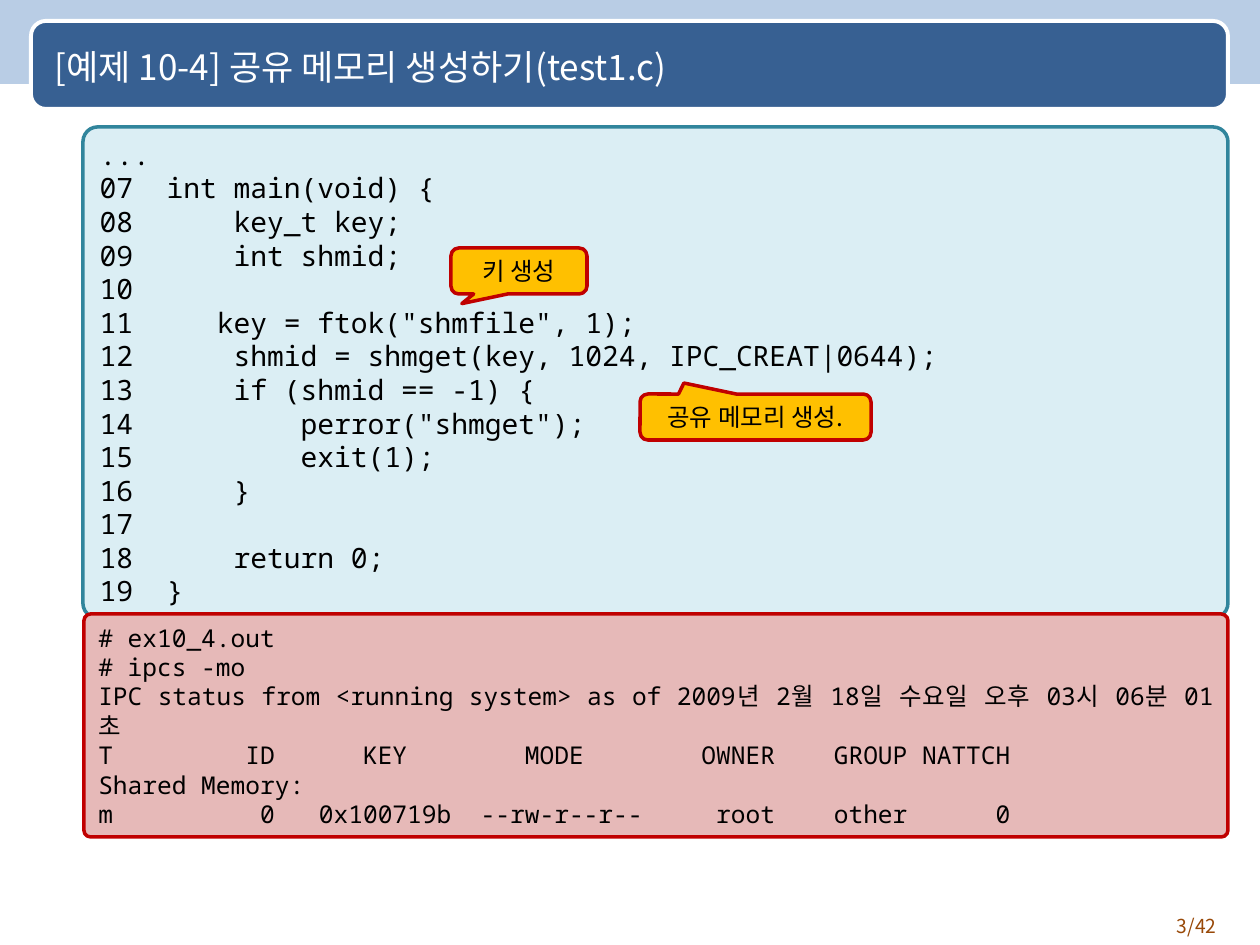
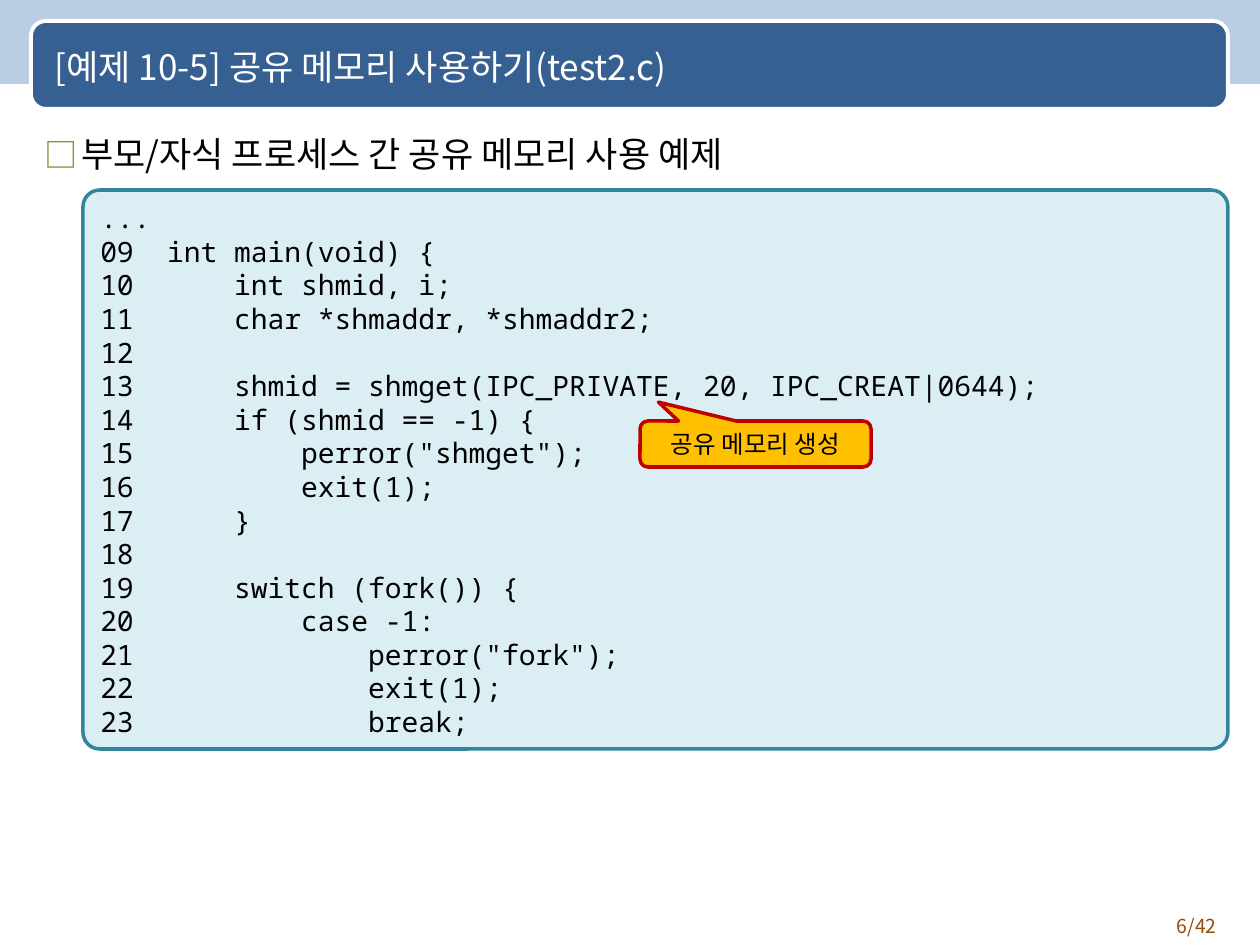
from lxml import etree
from pptx import Presentation
from pptx import util as u
from pptx.dml.color import RGBColor
from pptx.enum import shapes, text
from pptx.oxml.ns import qn

PX_PER_INCH = 126
SANS = "Noto Sans CJK KR"
MONO = "Noto Sans Mono"
WHITE = "FFFFFF"
BLACK = "000000"
BAND = "B9CDE5"
TITLE_BAR = "376092"
PAGE_NUMBER = "984807"
CODE_FILL, CODE_LINE = "DBEEF4", "31859C"
OUTPUT_FILL = "E6B9B8"
CALLOUT_FILL = "FFC000"
ACCENT_LINE = "C00000"
BULLET = "888128"
AUTO_SHAPE = shapes.MSO_SHAPE
ALIGN = text.PP_ALIGN

SHMGET_CODE = """...
07  int main(void) {
08      key_t key;
09      int shmid;
10
     key = ftok("shmfile", 1);
12      shmid = shmget(key, 1024, IPC_CREAT|0644);
13      if (shmid == -1) {
14          perror("shmget");
15          exit(1);
16      }
17
18      return 0;
19  }"""

IPCS_OUTPUT = """# ex10_4.out
# ipcs -mo
IPC status from <running system> as of 2009년 2월 18일 수요일 오후 03시 06분 01초
T         ID      KEY        MODE        OWNER    GROUP NATTCH
Shared Memory:
m          0   0x100719b  --rw-r--r--     root    other      0"""

FORK_CODE = """...
09  int main(void) {
10      int shmid, i;
11      char *shmaddr, *shmaddr2;
12
13      shmid = shmget(IPC_PRIVATE, 20, IPC_CREAT|0644);
14      if (shmid == -1) {
15          perror("shmget");
16          exit(1);
17      }
18
19      switch (fork()) {
20          case -1:
21              perror("fork");
22              exit(1);
23              break;"""


def px(value):
    return u.Emu(round(value * 914400 / PX_PER_INCH))


def color(hex_string):
    return RGBColor.from_string(hex_string)


def write(text_frame, content, size, font_name, font_color, alignment):
    text_frame.word_wrap = True
    text_frame.text = content
    for paragraph in text_frame.paragraphs:
        paragraph.alignment = alignment
        for run in paragraph.runs:
            run.font.size = u.Pt(size)
            run.font.color.rgb = color(font_color)
            run.font.name = font_name
            properties = run.font._element
            for tag in ("a:ea", "a:cs"):
                etree.SubElement(properties, qn(tag), typeface=font_name)


def add_box(slide, kind, box, fill, line=None, line_width=2, adjustments=()):
    shape = slide.shapes.add_shape(kind, *map(px, box))
    shape.shadow.inherit = False
    shape.fill.solid()
    shape.fill.fore_color.rgb = color(fill)
    if line:
        shape.line.color.rgb = color(line)
        shape.line.width = u.Pt(line_width)
    else:
        shape.line.fill.background()
    for index, value in enumerate(adjustments):
        shape.adjustments[index] = value
    return shape


def add_text_panel(slide, box, content, size, fill, line):
    panel = add_box(slide, AUTO_SHAPE.ROUNDED_RECTANGLE, box, fill, line, adjustments=[0.03])
    write(panel.text_frame, content, size, MONO, BLACK, ALIGN.JUSTIFY)
    panel.text_frame.vertical_anchor = text.MSO_ANCHOR.MIDDLE
    panel.text_frame.auto_size = text.MSO_AUTO_SIZE.SHAPE_TO_FIT_TEXT
    return panel


def add_code(slide, top, height, content):
    return add_text_panel(slide, (83, top, 1145, height), content, 16, CODE_FILL, CODE_LINE)


def add_callout(slide, box, content, pointer):
    callout = add_box(slide, AUTO_SHAPE.ROUNDED_RECTANGULAR_CALLOUT, box,
                      CALLOUT_FILL, ACCENT_LINE, adjustments=[*pointer, 0.17])
    write(callout.text_frame, content, 14, SANS, BLACK, ALIGN.CENTER)
    callout.text_frame.vertical_anchor = text.MSO_ANCHOR.MIDDLE
    callout.text_frame.auto_size = text.MSO_AUTO_SIZE.SHAPE_TO_FIT_TEXT


def number_line(paragraph, number):
    properties = paragraph._p.get_or_add_pPr()
    properties.set("marL", "0")
    properties.set("indent", "0")
    etree.SubElement(properties, qn("a:buFont"), typeface=MONO)
    etree.SubElement(properties, qn("a:buAutoNum"), type="arabicPlain", startAt=str(number))


def add_bullet(slide, box, content):
    frame = slide.shapes.add_textbox(*map(px, box)).text_frame
    write(frame, content, 20, SANS, BLACK, ALIGN.LEFT)
    paragraph = frame.paragraphs[0]
    paragraph.space_before = u.Pt(5)
    paragraph.space_after = u.Pt(6)
    properties = paragraph._p.get_or_add_pPr()
    properties.set("marL", str(px(37)))
    properties.set("indent", str(-px(37)))
    bullet_color = etree.SubElement(properties, qn("a:buClr"))
    etree.SubElement(bullet_color, qn("a:srgbClr"), val=BULLET)
    etree.SubElement(properties, qn("a:buSzPct"), val="95000")
    etree.SubElement(properties, qn("a:buFont"), typeface=SANS)
    etree.SubElement(properties, qn("a:buChar"), char="□")


def move_header_to_layout(slide):
    band = add_box(slide, AUTO_SHAPE.RECTANGLE, (-1, 0, 1262, 84), BAND)
    title_bar = add_box(slide, AUTO_SHAPE.ROUNDED_RECTANGLE, (31, 21, 1197, 88),
                        TITLE_BAR, WHITE, 2.25, [0.17])
    for shape in (band, title_bar):
        slide.slide_layout.shapes._spTree.append(shape._element)


def add_slide(presentation, title_text, page):
    slide = presentation.slides.add_slide(presentation.slide_layouts[5])
    title = slide.shapes.title
    title.left, title.top, title.width, title.height = map(px, (42, 24, 1166, 84))
    write(title.text_frame, title_text, 20, SANS, WHITE, ALIGN.LEFT)
    title.text_frame.vertical_anchor = text.MSO_ANCHOR.MIDDLE
    title.text_frame.auto_size = text.MSO_AUTO_SIZE.NONE
    page_box = slide.shapes.add_textbox(*map(px, (1124, 908, 105, 37)))
    write(page_box.text_frame, f"{page}/42", 11, SANS, PAGE_NUMBER, ALIGN.RIGHT)
    return slide


def main():
    presentation = Presentation()
    presentation.slide_width = px(1260)
    presentation.slide_height = px(945)

    creating = add_slide(presentation, "[예제 10-4] 공유 메모리 생성하기(test1.c)", 3)
    move_header_to_layout(creating)
    code = add_code(creating, 127, 491, SHMGET_CODE)
    number_line(code.text_frame.paragraphs[5], 11)
    add_text_panel(creating, (84, 614, 1144, 223), IPCS_OUTPUT, 14, OUTPUT_FILL, ACCENT_LINE)
    add_callout(creating, (640, 394, 231, 46), "공유 메모리 생성.", (-0.31, -0.74))
    add_callout(creating, (451, 248, 136, 46), "키 생성", (-0.42, 0.71))

    using = add_slide(presentation, "[예제 10-5] 공유 메모리 사용하기(test2.c)", 6)
    add_bullet(using, (32, 126, 1197, 788), "부모/자식 프로세스 간 공유 메모리 사용 예제")
    add_code(using, 190, 559, FORK_CODE)
    add_callout(using, (640, 421, 231, 46), "공유 메모리 생성", (-0.42, -0.91))

    presentation.save("out.pptx")


if __name__ == "__main__":
    main()
